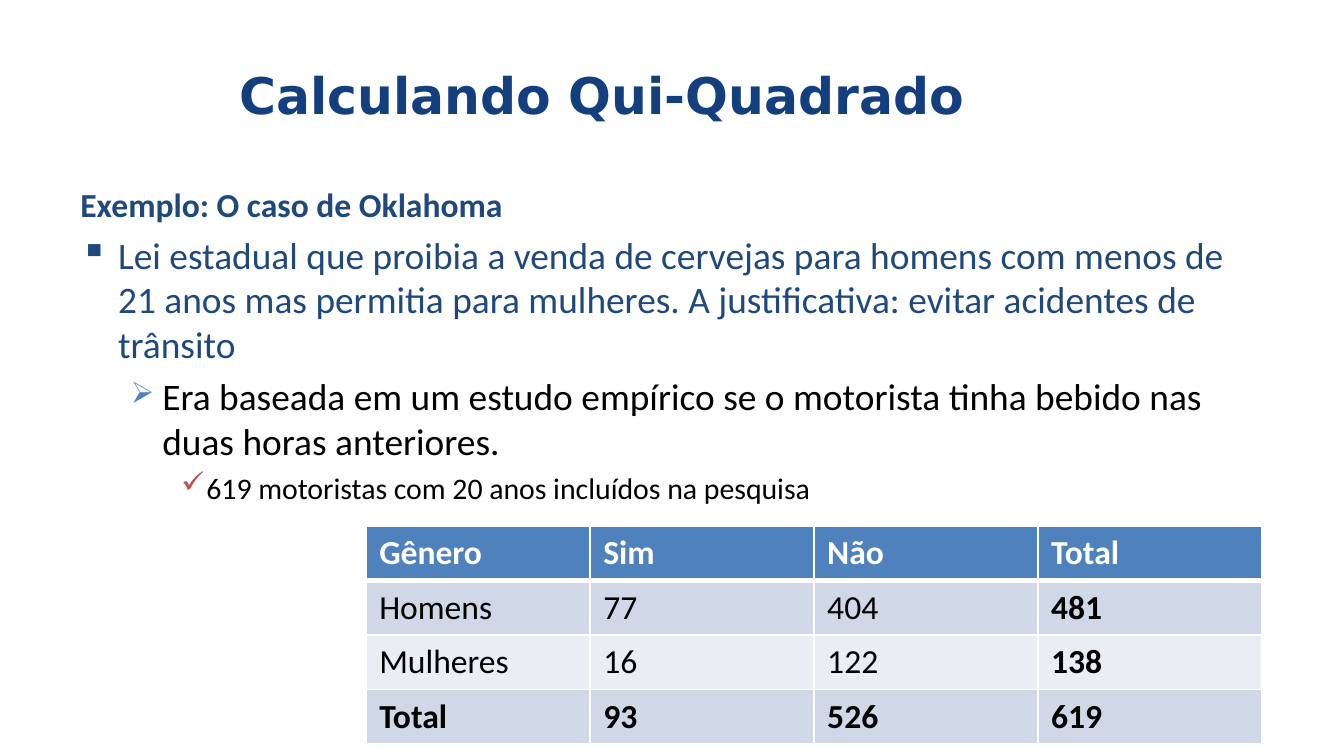
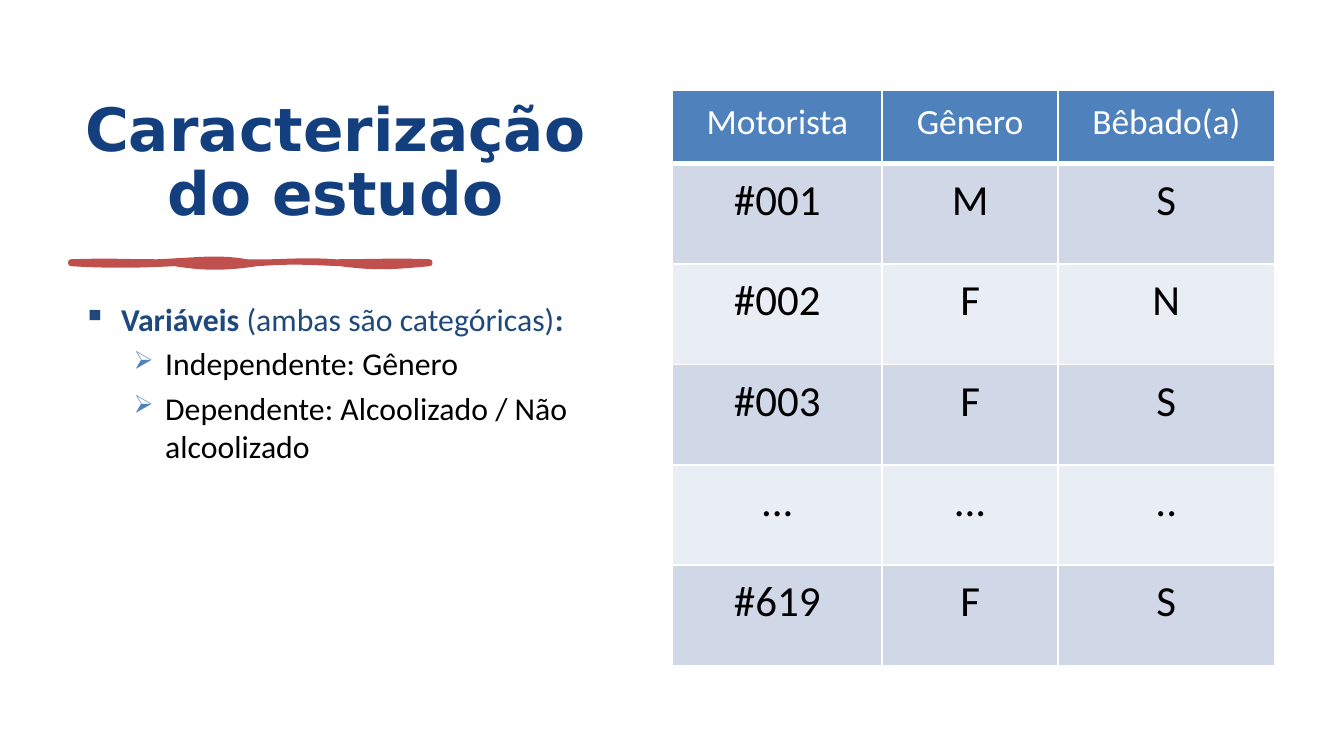
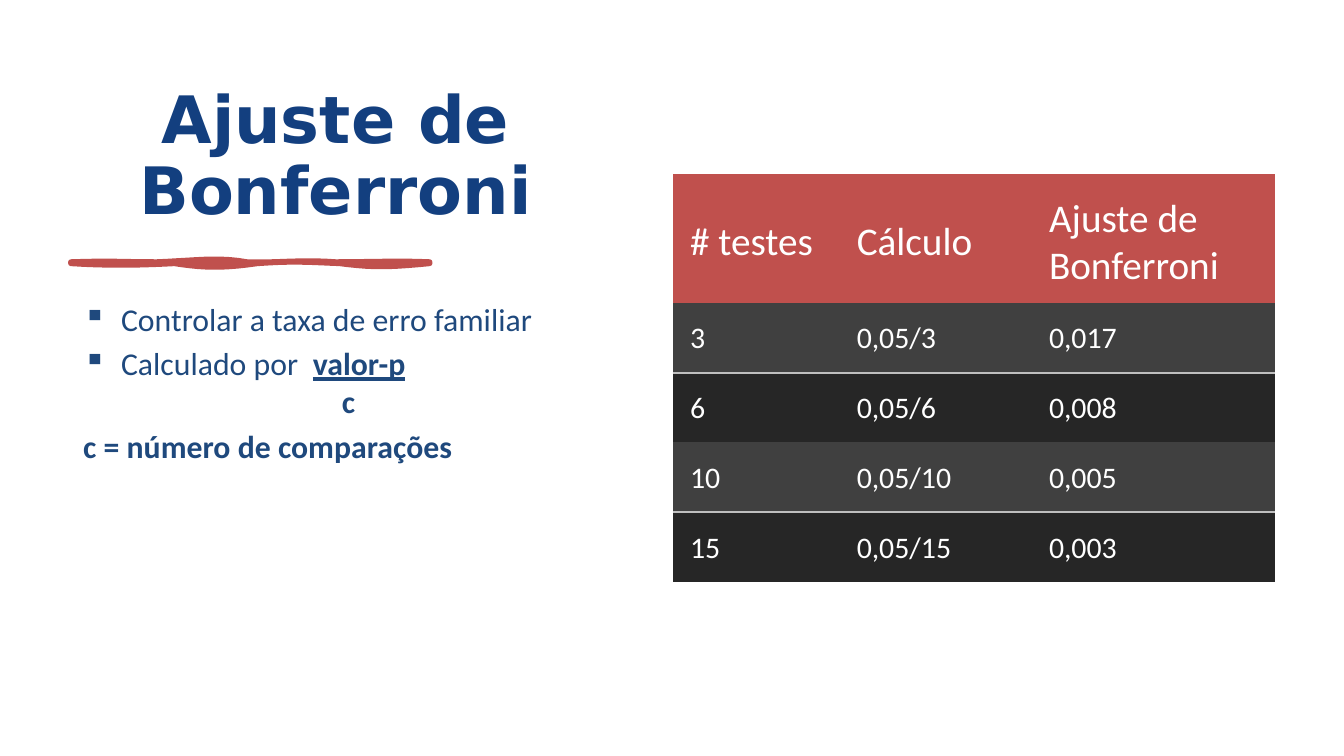
from typing import NamedTuple

from lxml.etree import SubElement
from pptx import Presentation
from pptx.dml.color import RGBColor
from pptx.enum.text import MSO_ANCHOR, PP_ALIGN
from pptx.oxml.ns import qn
from pptx.util import Pt

NAVY = RGBColor(0x13, 0x3F, 0x7F)
INK = RGBColor(0x1F, 0x49, 0x7D)
BLUE = RGBColor(0x4F, 0x81, 0xBD)
RED = RGBColor(0xC0, 0x50, 0x4D)
PALE = RGBColor(0xD0, 0xD8, 0xE8)
MIST = RGBColor(0xE9, 0xED, 0xF4)
COAL = RGBColor(0x40, 0x40, 0x40)
NIGHT = RGBColor(0x26, 0x26, 0x26)
GREY = RGBColor(0xBF, 0xBF, 0xBF)
WHITE = RGBColor(0xFF, 0xFF, 0xFF)
BLACK = RGBColor(0, 0, 0)

TITLE_FONT = "DejaVu Sans"
BODY_FONT = "Calibri"

# Left half of the two-column slides: left, top, width, height
HALF_TITLE = (37.5, 38, 284.5, 88)
HALF_RULE = (38, 140.4)
HALF_BODY = (37.5, 157, 284.5, 209.5)

# Brush stroke: each curve is two control points and an end point
START = (0, 0)
UPPER = [
    ((21.6, -0.7), (28, 0), (46, 0)),
    ((65.5, -0.7), (78.5, -2.9), (94.3, 0)),
    ((106.5, 0.7), (123.8, -1.4), (141.8, 0)),
    ((158.4, 0), (176.4, -0.7), (192.2, 0)),
]
LOWER = [
    ((192.2, 0.3), (192.2, 0.5), (192.2, 0.7)),
    ((170, 2.9), (161, 2.9), (144, 0.7)),
    ((126.7, 0), (119.5, -0.7), (100, 0.7)),
    ((80, 3.6), (70, 2.9), (55.4, 0.7)),
    ((41, 1.4), (23.8, 2.2), (0, 0.7)),
]


class Kind(NamedTuple):
    """How a body paragraph is indented, marked and coloured."""
    left: float = 0
    hang: float = 0
    mark: str = ""
    tint: RGBColor = INK
    scale: int = 100
    ink: RGBColor = INK
    gap: float = 0.2
    level: int = 0
    tab: float = 0


PLAIN = Kind()
BELOW = Kind(left=138.5, gap=0)
POINT = Kind(20.25, 20.25, "▪")
RATIO = POINT._replace(tab=123)
ARROW = Kind(43.9, 16.9, "➢", BLUE, 80, BLACK, level=1)
CHECK = Kind(67.5, 13.5, "✓", RED, 100, BLACK, level=2)


class Look(NamedTuple):
    """Colours, sizes and margins of a table."""
    head: RGBColor
    bands: tuple
    ink: RGBColor
    sizes: tuple
    inset: tuple
    align: PP_ALIGN = PP_ALIGN.LEFT
    anchor: MSO_ANCHOR = MSO_ANCHOR.TOP
    grid: bool = True
    bold: bool = False


PLAIN_GRID = Look(BLUE, (PALE, MIST), BLACK, (18, 18), (7.2, 3.6, 7.2, 3.6),
                  bold=True)
WIDE_GRID = Look(BLUE, (PALE, MIST), BLACK, (19, 23), (12.2, 5.8, 12.2, 5.8),
                 PP_ALIGN.CENTER)
DARK = Look(RED, (COAL, NIGHT), WHITE, (21, 16), (9.4, 9.4, 9.4, 5),
            anchor=MSO_ANCHOR.MIDDLE, grid=False)


def style(font, name, size, color, bold=False):
    font.name = name
    font.size = Pt(size)
    font.color.rgb = color
    font.bold = bold


def add_box(slide, box):
    frame = slide.shapes.add_textbox(*map(Pt, box)).text_frame
    frame.word_wrap = True
    return frame


def add_title(slide, box, text, size, anchor=MSO_ANCHOR.BOTTOM, space=0.9):
    frame = add_box(slide, box)
    frame.text = text
    frame.vertical_anchor = anchor
    para = frame.paragraphs[0]
    para.alignment = PP_ALIGN.CENTER
    para.line_spacing = space
    style(para.runs[0].font, TITLE_FONT, size, NAVY, True)


def indent(para, kind):
    """Set level, hanging indent, bullet and tab stop."""
    para.level = kind.level
    props = para._p.get_or_add_pPr()
    props.set("marL", str(Pt(kind.left)))
    props.set("indent", str(-Pt(kind.hang)))
    if kind.mark:
        tint = SubElement(props, qn("a:buClr"))
        SubElement(tint, qn("a:srgbClr"), val=str(kind.tint))
        SubElement(props, qn("a:buSzPct"), val=str(kind.scale * 1000))
        SubElement(props, qn("a:buChar"), char=kind.mark)
    else:
        SubElement(props, qn("a:buNone"))
    if kind.tab:
        tabs = SubElement(props, qn("a:tabLst"))
        SubElement(tabs, qn("a:tab"), pos=str(Pt(kind.tab)), algn="l")


def add_body(slide, box, items):
    """Each item is a kind, a size and runs of (text, flags b and u)."""
    frame = add_box(slide, box)
    for i, (kind, size, runs) in enumerate(items):
        para = frame.add_paragraph() if i else frame.paragraphs[0]
        indent(para, kind)
        if i:
            para.space_before = Pt(round(kind.gap * size, 1))
        for text, flags in runs:
            run = para.add_run()
            run.text = text
            style(run.font, BODY_FONT, size, kind.ink, "b" in flags)
            run.font.underline = "u" in flags


def add_brush(slide, spot):
    left, top = spot
    dots, last = [], START
    for one, two, end in UPPER + LOWER:
        for t in (k / 10 for k in range(1, 11)):
            s = 1 - t
            dots.append(tuple(
                Pt(s**3 * a + 3 * s * s * t * b + 3 * s * t * t * c + t**3 * d)
                for a, b, c, d in zip(last, one, two, end)))
        last = end
    form = slide.shapes.build_freeform(*map(Pt, START))
    form.add_line_segments(dots, close=True)
    brush = form.convert_to_shape(Pt(left), Pt(top))
    brush.shadow.inherit = False
    brush.fill.solid()
    brush.fill.fore_color.rgb = RED
    brush.line.color.rgb = RED
    brush.line.width = Pt(3)


def add_edge(cell, side, color, width):
    """Draw one side of a cell, or hide it when there is no colour."""
    edge = SubElement(cell._tc.get_or_add_tcPr(), qn("a:ln" + side),
                      w=str(Pt(width)))
    if color is None:
        SubElement(edge, qn("a:noFill"))
    else:
        fill = SubElement(edge, qn("a:solidFill"))
        SubElement(fill, qn("a:srgbClr"), val=str(color))


def add_edges(cell, row, grid):
    for side in "LRTB":
        if grid:
            heavy = (row, side) in ((0, "B"), (1, "T"))
            add_edge(cell, side, WHITE, 3 if heavy else 1)
        else:
            # a line runs only between a light row and the dark one below
            lined = row and side == ("B" if row % 2 else "T")
            add_edge(cell, side, GREY if lined else None, 1)


def add_grid(slide, spot, cols, rows, data, look):
    left, top = spot
    table = slide.shapes.add_table(
        len(rows), len(cols), Pt(left), Pt(top),
        Pt(sum(cols)), Pt(sum(rows))).table
    for col, width in zip(table.columns, cols):
        col.width = Pt(width)
    for r, (row, high) in enumerate(zip(table.rows, rows)):
        row.height = Pt(high)
        for c, cell in enumerate(row.cells):
            add_edges(cell, r, look.grid)
            cell.fill.solid()
            cell.fill.fore_color.rgb = look.bands[(r - 1) % 2] if r else look.head
            (cell.margin_left, cell.margin_top,
             cell.margin_right, cell.margin_bottom) = map(Pt, look.inset)
            cell.vertical_anchor = MSO_ANCHOR.TOP if r else look.anchor
            cell.text = data[r][c]
            para = cell.text_frame.paragraphs[0]
            para.alignment = look.align
            total = r in (0, len(rows) - 1) or c == len(cols) - 1
            style(para.runs[0].font, BODY_FONT, look.sizes[r > 0],
                  look.ink if r else WHITE, look.bold and total)


def case_slide(slide):
    add_title(slide, (36, 16.5, 573, 68), "Calculando Qui-Quadrado", 27,
              MSO_ANCHOR.MIDDLE, 1.0)
    add_body(slide, (36, 95, 648, 267), [
        (PLAIN, 18, [("Exemplo: O caso de Oklahoma", "b")]),
        (POINT, 20, [("Lei estadual que proibia a venda de cervejas para "
                      "homens com menos de 21 anos mas permitia para mulheres. "
                      "A justificativa: evitar acidentes de trânsito", "")]),
        (ARROW, 20, [("Era baseada em um estudo empírico se o motorista tinha "
                      "bebido nas duas horas anteriores.", "")]),
        (CHECK, 16, [("619 motoristas com 20 anos incluídos na pesquisa", "")]),
    ])
    add_grid(slide, (196, 281.8), [120] * 4, [29.2] * 4, [
        ("Gênero", "Sim", "Não", "Total"),
        ("Homens", "77", "404", "481"),
        ("Mulheres", "16", "122", "138"),
        ("Total", "93", "526", "619"),
    ], PLAIN_GRID)


def half_slide(slide, title, size, items):
    """Fill the left half: title, brush stroke and body."""
    add_title(slide, HALF_TITLE, title, size)
    add_brush(slide, HALF_RULE)
    add_body(slide, HALF_BODY, items)


def study_slide(slide):
    half_slide(slide, "Caracterização do estudo", 32, [
        (POINT, 17, [("Variáveis ", "b"), ("(ambas são categóricas)", ""),
                     (":", "b")]),
        (ARROW, 17, [("Independente: Gênero", "")]),
        (ARROW, 17, [("Dependente: Alcoolizado / Não alcoolizado", "")]),
    ])
    add_grid(slide, (360.3, 48.5), [112.3, 94.3, 115.9], [39.2] + [53.8] * 5, [
        ("Motorista", "Gênero", "Bêbado(a)"),
        ("#001", "M", "S"),
        ("#002", "F", "N"),
        ("#003", "F", "S"),
        ("...", "...", ".."),
        ("#619", "F", "S"),
    ], WIDE_GRID)


def adjust_slide(slide):
    half_slide(slide, "Ajuste de Bonferroni", 35, [
        (POINT, 17, [("Controlar a taxa de erro familiar", "")]),
        (RATIO, 17, [("Calculado por\t", ""), ("valor-p", "bu")]),
        (BELOW, 17, [("c", "b")]),
        (PLAIN, 17, [("c = número de comparações", "b")]),
    ])
    add_grid(slide, (360.3, 93.2), [89.3, 103, 130.2], [69.1] + [37.4] * 4, [
        ("# testes", "Cálculo", "Ajuste de Bonferroni"),
        ("3", "0,05/3", "0,017"),
        ("6", "0,05/6", "0,008"),
        ("10", "0,05/10", "0,005"),
        ("15", "0,05/15", "0,003"),
    ], DARK)


def main():
    deck = Presentation()
    deck.slide_width, deck.slide_height = Pt(720), Pt(405)
    for fill in (case_slide, study_slide, adjust_slide):
        fill(deck.slides.add_slide(deck.slide_layouts[6]))
    deck.save("out.pptx")


if __name__ == "__main__":
    main()
